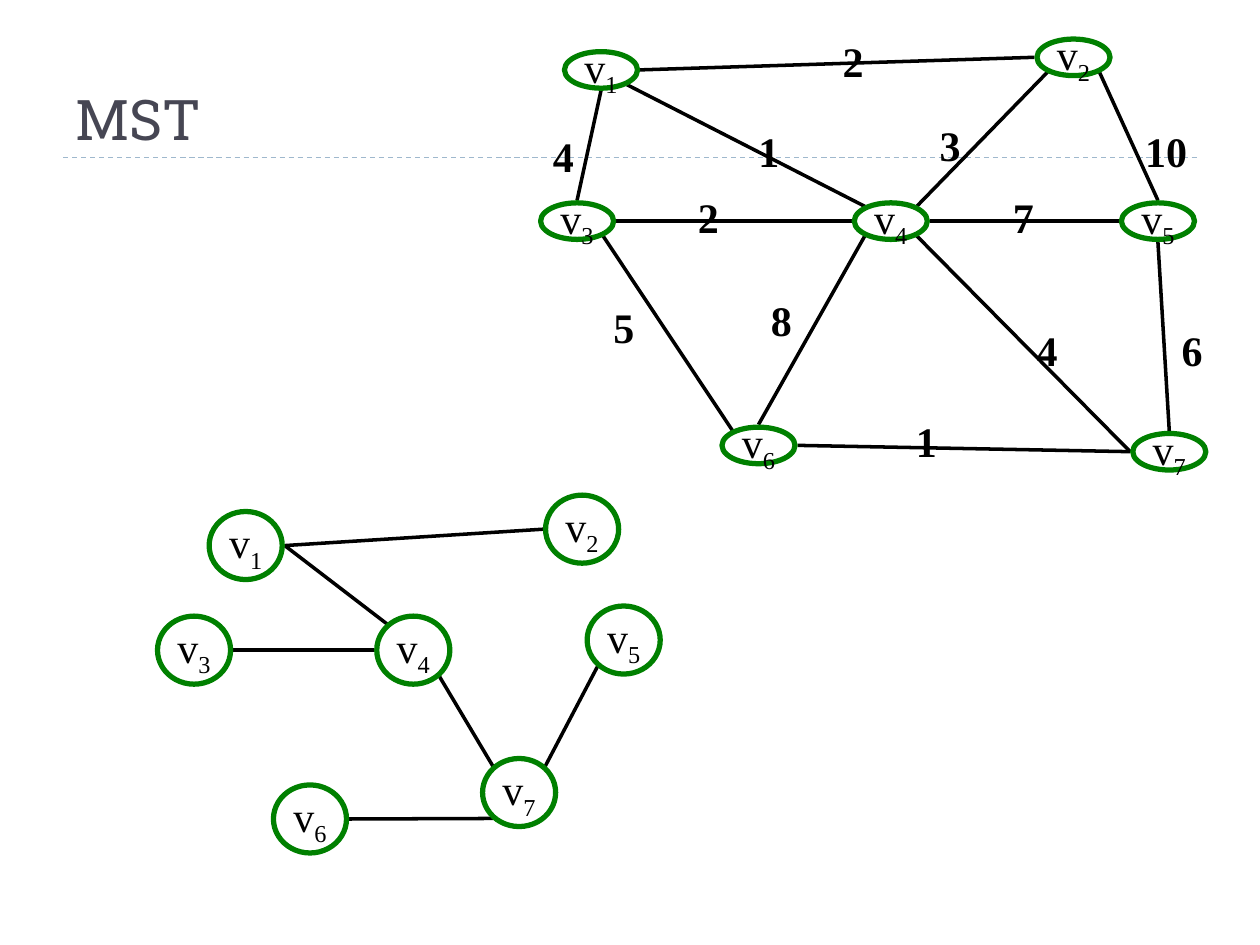
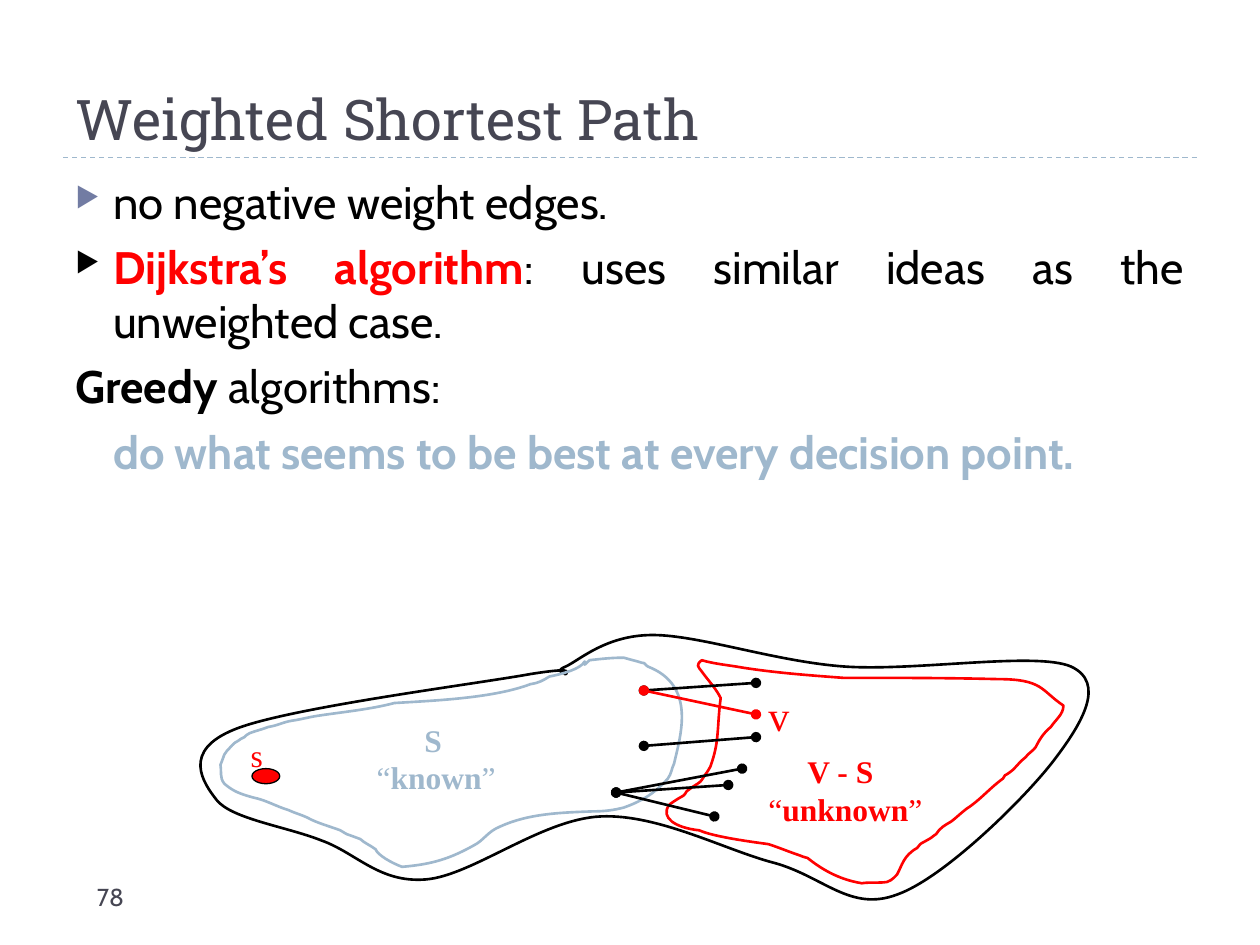
from lxml import etree
from pptx import Presentation
from pptx.dml.color import RGBColor
from pptx.enum.dml import MSO_LINE
from pptx.enum.shapes import MSO_CONNECTOR, MSO_SHAPE
from pptx.enum.text import MSO_ANCHOR, PP_ALIGN
from pptx.oxml.ns import qn
from pptx.util import Inches, Pt

STRAIGHT = MSO_CONNECTOR.STRAIGHT
OVAL = MSO_SHAPE.OVAL
DASH = MSO_LINE.DASH
TOP, MIDDLE, BOTTOM = MSO_ANCHOR.TOP, MSO_ANCHOR.MIDDLE, MSO_ANCHOR.BOTTOM
CENTER, JUSTIFY = PP_ALIGN.CENTER, PP_ALIGN.JUSTIFY

BLACK, RED, GREEN = "000000", "FF0000", "008000"
SLATE, PALE_BLUE, INDIGO = "464653", "9FB8CD", "727CA3"
TITLE_FONT, BODY_FONT, GRAPH_FONT = "Roboto Slab", "Cabin", "Times New Roman"

DIAGONAL = 0.71
SIDES = {
    "N": (0, -1), "S": (0, 1), "E": (1, 0), "W": (-1, 0),
    "NE": (DIAGONAL, -DIAGONAL), "NW": (-DIAGONAL, -DIAGONAL),
    "SE": (DIAGONAL, DIAGONAL), "SW": (-DIAGONAL, DIAGONAL),
}
NODE_WIDTH, NODE_GAP = 0.58, 0.02

GRAPH_HEIGHT = 0.29
GRAPH_NODES = {
    1: (4.48, 0.41), 2: (8.23, 0.31), 3: (4.29, 1.61), 4: (6.78, 1.61),
    5: (8.9, 1.61), 6: (5.73, 3.39), 7: (8.99, 3.44),
}
GRAPH_EDGES = [
    (1, "SE", 4, "NW"), (4, "SE", 7, "W"), (4, "E", 5, "W"), (6, "E", 7, "W"),
    (1, "S", 3, "N"), (3, "SE", 6, "NW"), (4, "SW", 6, "N"), (5, "N", 2, "SE"),
    (3, "E", 4, "W"), (2, "W", 1, "E"), (4, "NE", 2, "SW"), (7, "N", 5, "S"),
]
WEIGHTS = [
    ("1", 5.92, 0.95), ("4", 8.13, 2.53), ("7", 7.94, 1.47), ("1", 7.17, 3.25),
    ("4", 4.29, 0.99), ("5", 4.77, 2.34), ("8", 6.02, 2.29), ("10", 8.99, 0.95),
    ("2", 5.44, 1.47), ("2", 6.59, 0.23), ("3", 7.36, 0.9), ("6", 9.28, 2.53),
]

TREE_HEIGHT = 0.54
TREE_NODES = {
    1: (1.66, 4.06), 2: (4.33, 3.93), 3: (1.25, 4.89), 4: (2.99, 4.89),
    5: (4.66, 4.81), 6: (2.17, 6.23), 7: (3.83, 6.02),
}
TREE_EDGES = [
    (1, "E", 4, "NW"), (2, "W", 1, "E"), (3, "E", 4, "W"),
    (4, "SE", 7, "NW"), (7, "NE", 5, "SW"), (6, "E", 7, "SW"),
]

ALL_VERTICES = [
    (4.49, 5.35), (4.44, 5.36, 4.65, 5.28, 4.21, 5.35), (3.77, 5.43, 2.27, 5.62, 1.86, 5.79),
    (1.44, 5.96, 1.61, 6.21, 1.72, 6.35), (1.84, 6.5, 2.27, 6.56, 2.55, 6.67),
    (2.83, 6.77, 3.01, 7.01, 3.38, 6.98), (3.75, 6.95, 4.3, 6.5, 4.77, 6.48),
    (5.23, 6.46, 5.76, 6.75, 6.15, 6.85), (6.54, 6.96, 6.75, 7.24, 7.12, 7.1),
    (7.49, 6.97, 8.13, 6.34, 8.36, 6.04), (8.59, 5.74, 8.78, 5.42, 8.5, 5.29),
    (8.22, 5.17, 7.26, 5.33, 6.7, 5.29), (6.15, 5.25, 5.55, 5.04, 5.18, 5.04),
    (4.81, 5.04, 4.6, 5.24, 4.49, 5.29), (4.37, 5.34, 4.53, 5.34, 4.49, 5.35),
]
KNOWN_REGION = [
    (4.64, 5.25), (4.61, 5.31, 4.46, 5.35, 4.36, 5.37), (4.31, 5.4, 4.28, 5.42, 4.21, 5.43),
    (3.92, 5.54, 3.47, 5.56, 3.13, 5.58), (2.94, 5.63, 2.73, 5.65, 2.53, 5.68),
    (2.46, 5.69, 2.39, 5.71, 2.32, 5.72), (2.25, 5.73, 2.2, 5.76, 2.13, 5.77),
    (2.08, 5.79, 2.03, 5.8, 1.98, 5.82), (1.96, 5.83, 1.95, 5.84, 1.94, 5.85),
    (1.92, 5.86, 1.9, 5.87, 1.89, 5.88), (1.86, 5.89, 1.82, 5.94, 1.82, 5.94),
    (1.81, 5.95, 1.79, 5.97, 1.78, 5.99), (1.77, 6.02, 1.75, 6.07, 1.75, 6.07),
    (1.76, 6.12, 1.74, 6.17, 1.78, 6.22), (1.85, 6.28, 1.9, 6.3, 2.01, 6.33),
    (2.11, 6.35, 2.19, 6.4, 2.29, 6.43), (2.33, 6.45, 2.4, 6.47, 2.44, 6.49),
    (2.51, 6.53, 2.62, 6.56, 2.7, 6.59), (2.72, 6.6, 2.73, 6.61, 2.75, 6.62),
    (2.78, 6.63, 2.86, 6.66, 2.86, 6.66), (2.89, 6.69, 2.94, 6.71, 2.98, 6.74),
    (3, 6.79, 3.11, 6.85, 3.19, 6.88), (3.44, 6.86, 3.58, 6.81, 3.76, 6.71),
    (3.84, 6.67, 3.87, 6.6, 3.97, 6.56), (4.19, 6.46, 4.43, 6.45, 4.71, 6.44),
    (4.8, 6.44, 4.87, 6.43, 4.95, 6.41), (5.12, 6.35, 5.21, 6.28, 5.3, 6.18),
    (5.33, 6.14, 5.33, 6.1, 5.35, 6.06), (5.4, 5.84, 5.53, 5.44, 5.14, 5.29),
    (5.08, 5.24, 5.15, 5.28, 5.06, 5.25), (5.02, 5.24, 4.95, 5.22, 4.95, 5.22),
    (4.85, 5.22, 4.77, 5.23, 4.68, 5.24), (4.63, 5.28, 4.64, 5.29, 4.64, 5.25),
]
UNKNOWN_REGION = [
    (8.44, 5.6), (8.26, 5.48, 8.28, 5.39, 7.92, 5.39), (7.51, 5.38, 7.1, 5.38, 6.69, 5.38),
    (6.42, 5.36, 6.16, 5.34, 5.9, 5.3), (5.79, 5.28, 5.67, 5.27, 5.57, 5.24),
    (5.52, 5.28, 5.54, 5.29, 5.57, 5.33), (5.62, 5.4, 5.68, 5.46, 5.72, 5.54),
    (5.69, 5.77, 5.71, 5.87, 5.65, 6.05), (5.64, 6.1, 5.6, 6.14, 5.57, 6.19),
    (5.56, 6.21, 5.52, 6.23, 5.49, 6.25), (5.48, 6.26, 5.45, 6.28, 5.45, 6.28),
    (5.42, 6.33, 5.44, 6.3, 5.35, 6.36), (5.33, 6.37, 5.31, 6.39, 5.31, 6.39),
    (5.24, 6.49, 5.36, 6.57, 5.55, 6.59), (5.66, 6.64, 5.95, 6.68, 6.1, 6.7),
    (6.19, 6.73, 6.26, 6.76, 6.35, 6.79), (6.37, 6.8, 6.41, 6.81, 6.41, 6.81),
    (6.51, 6.89, 6.65, 6.98, 6.84, 7.01), (6.9, 7, 6.98, 7.01, 7.04, 7),
    (7.08, 6.99, 7.12, 6.94, 7.12, 6.94), (7.16, 6.87, 7.17, 6.79, 7.28, 6.73),
    (7.32, 6.68, 7.29, 6.71, 7.39, 6.65), (7.4, 6.64, 7.43, 6.62, 7.43, 6.62),
    (7.46, 6.57, 7.5, 6.55, 7.55, 6.52), (7.59, 6.49, 7.63, 6.45, 7.67, 6.42),
    (7.78, 6.35, 7.85, 6.26, 7.96, 6.18), (8, 6.12, 7.94, 6.19, 8.04, 6.11),
    (8.07, 6.08, 8.1, 6.04, 8.14, 6.01), (8.16, 5.98, 8.2, 5.96, 8.22, 5.93),
    (8.25, 5.87, 8.28, 5.82, 8.34, 5.77), (8.38, 5.71, 8.44, 5.67, 8.44, 5.6),
]
CROSSING_EDGES = [
    ((5.11, 5.48), (6, 5.42), BLACK), ((4.89, 6.29), (5.67, 6.48), BLACK),
    ((5.11, 5.48), (6, 5.67), RED), ((5.11, 5.92), (6, 5.85), BLACK),
    ((4.89, 6.29), (5.78, 6.23), BLACK), ((4.89, 6.29), (5.89, 6.1), BLACK),
]


def rgb(color):
    return RGBColor.from_string(color)


def side_point(corner, height, side):
    x, y = SIDES[side]
    left, top = corner
    side_gap = 0 if y else NODE_GAP
    return (left + NODE_WIDTH / 2 + x * (NODE_WIDTH / 2 + side_gap),
            top + height / 2 + y * (height / 2 + NODE_GAP))


class Deck:
    def __init__(self):
        self.presentation = Presentation()
        self.presentation.slide_width = Inches(10)
        self.presentation.slide_height = Inches(7.5)
        self.slide = None

    def new_slide(self, title):
        self.slide = self.presentation.slides.add_slide(self.presentation.slide_layouts[6])
        self.line((0.5, 1.25), (9.5, 1.25), PALE_BLUE, 0.75, dash=DASH)
        frame = self.text_box(0.5, 0.17, 9, 1.08, anchor=BOTTOM)
        self.run(frame.paragraphs[0], title, 32, TITLE_FONT, SLATE)

    def text_box(self, left, top, width, height, anchor=TOP, wrap=True):
        box = self.slide.shapes.add_textbox(
            Inches(left), Inches(top), Inches(width), Inches(height))
        box.text_frame.word_wrap = wrap
        box.text_frame.vertical_anchor = anchor
        return box.text_frame

    def run(self, paragraph, text, size, font, color, bold=False, subscript=False):
        run = paragraph.add_run()
        run.text = text
        run.font.size = Pt(size)
        run.font.name = font
        run.font.bold = bold
        run.font.color.rgb = rgb(color)
        if subscript:
            run.font._element.set("baseline", "-25000")

    def label(self, text, left, top, width, color, size=24, bold=False):
        frame = self.text_box(left, top, width, 0.5, wrap=False)
        self.run(frame.paragraphs[0], text, size, GRAPH_FONT, color, bold)

    def region_label(self, left, top, width, name, indent, quoted, color):
        frame = self.text_box(left, top, width, 0.77)
        first = frame.paragraphs[0]
        self.indent(first, indent, 0)
        self.run(first, name, 18, GRAPH_FONT, color, bold=True)
        second = frame.add_paragraph()
        for text, bold in (("“", False), (quoted, True), ("”", False)):
            self.run(second, text, 18, GRAPH_FONT, color, bold)

    def indent(self, paragraph, margin, first_line):
        properties = paragraph._p.get_or_add_pPr()
        properties.set("marL", str(Inches(margin)))
        properties.set("indent", str(Inches(first_line)))
        return properties

    def bullet(self, properties, color):
        bullet_color = etree.SubElement(properties, qn("a:buClr"))
        etree.SubElement(bullet_color, qn("a:srgbClr"), val=color)
        etree.SubElement(properties, qn("a:buSzPct"), val="61000")
        etree.SubElement(properties, qn("a:buChar"), char="▶")

    def body(self, items):
        frame = self.text_box(0.5, 1.33, 9, 5.4)
        for index, (bullet_color, first_line, runs) in enumerate(items):
            paragraph = frame.add_paragraph() if index else frame.paragraphs[0]
            properties = self.indent(paragraph, 0.3, first_line)
            if bullet_color:
                self.bullet(properties, bullet_color)
            paragraph.alignment = JUSTIFY
            paragraph.space_before = Pt(6 if index else 0)
            for text, color, bold in runs:
                self.run(paragraph, text, 26, BODY_FONT, color, bold)

    def line(self, start, end, color, width, dash=None, dots=False):
        ends = (Inches(value) for value in (*start, *end))
        connector = self.slide.shapes.add_connector(STRAIGHT, *ends)
        connector.line.color.rgb = rgb(color)
        connector.line.width = Pt(width)
        if dash:
            connector.line.dash_style = dash
        if dots:
            outline = connector.line._get_or_add_ln()
            for tag in ("a:headEnd", "a:tailEnd"):
                etree.SubElement(outline, qn(tag), type="oval")
        etree.SubElement(connector._element.spPr, qn("a:effectLst"))

    def style_shape(self, shape, line_color, line_width, fill=None):
        shape.shadow.inherit = False
        if fill:
            shape.fill.solid()
            shape.fill.fore_color.rgb = rgb(fill)
        else:
            shape.fill.background()
        shape.line.color.rgb = rgb(line_color)
        shape.line.width = Pt(line_width)

    def ellipse(self, left, top, width, height, line_color, line_width, fill=None):
        shape = self.slide.shapes.add_shape(
            OVAL, Inches(left), Inches(top), Inches(width), Inches(height))
        self.style_shape(shape, line_color, line_width, fill)
        return shape

    def outline(self, curves, color):
        values = [Inches(value) for curve in curves for value in curve]
        points = list(zip(values[::2], values[1::2]))
        builder = self.slide.shapes.build_freeform(*points[0], scale=1.0)
        builder.add_line_segments(points[1:], close=True)
        shape = builder.convert_to_shape()
        segments = list(shape._element.iter(qn("a:lnTo")))
        for first, second, third in zip(segments[::3], segments[1::3], segments[2::3]):
            first.tag = qn("a:cubicBezTo")
            for segment in (second, third):
                first.append(segment[0])
                segment.getparent().remove(segment)
        self.style_shape(shape, color, 1.5)

    def node(self, corner, height, number):
        frame = self.ellipse(*corner, NODE_WIDTH, height, GREEN, 3).text_frame
        frame.word_wrap = False
        frame.vertical_anchor = MIDDLE
        paragraph = frame.paragraphs[0]
        paragraph.alignment = CENTER
        self.run(paragraph, "v", 24, GRAPH_FONT, BLACK)
        self.run(paragraph, str(number), 24, GRAPH_FONT, BLACK, subscript=True)

    def graph(self, nodes, height, edges):
        for start, start_side, end, end_side in edges:
            self.line(side_point(nodes[start], height, start_side),
                      side_point(nodes[end], height, end_side), BLACK, 2)
        for number, corner in nodes.items():
            self.node(corner, height, number)

    def page_number(self, number):
        frame = self.text_box(0.67, 6.95, 2.17, 0.4)
        self.run(frame.paragraphs[0], number, 14, BODY_FONT, SLATE)


def spanning_tree_slide(deck):
    deck.new_slide("MST")
    deck.graph(GRAPH_NODES, GRAPH_HEIGHT, GRAPH_EDGES)
    for weight, left, top in WEIGHTS:
        deck.label(weight, left, top, 0.21 + 0.16 * len(weight), BLACK, bold=True)
    deck.graph(TREE_NODES, TREE_HEIGHT, TREE_EDGES)


def shortest_path_slide(deck):
    deck.new_slide("Weighted Shortest Path")
    deck.page_number("78")
    deck.body([
        (INDIGO, -0.3, [("no negative weight edges.", BLACK, False)]),
        (BLACK, -0.3, [("Dijkstra’s algorithm", RED, True),
                       (": uses similar ideas as the unweighted case.", BLACK, False)]),
        (None, -0.3, [("Greedy", BLACK, True), (" algorithms:", BLACK, False)]),
        (None, 0, [("do what seems to be best at every decision point.", PALE_BLUE, True)]),
    ])
    deck.outline(ALL_VERTICES, BLACK)
    deck.outline(KNOWN_REGION, PALE_BLUE)
    deck.outline(UNKNOWN_REGION, RED)
    deck.region_label(2.89, 5.67, 1.25, "S", 0.38, "known", PALE_BLUE)
    deck.ellipse(2, 6.1, 0.22, 0.12, BLACK, 0.75, fill=RED)
    deck.label("s", 1.89, 5.79, 0.31, RED, size=18)
    deck.region_label(6, 5.92, 2.09, "V - S", 0.31, "unknown", RED)
    for start, end, color in CROSSING_EDGES:
        deck.line(start, end, color, 1.5, dots=True)
    deck.label("v", 6, 5.42, 0.37, RED)


def main():
    deck = Deck()
    spanning_tree_slide(deck)
    shortest_path_slide(deck)
    deck.presentation.save("out.pptx")


if __name__ == "__main__":
    main()
